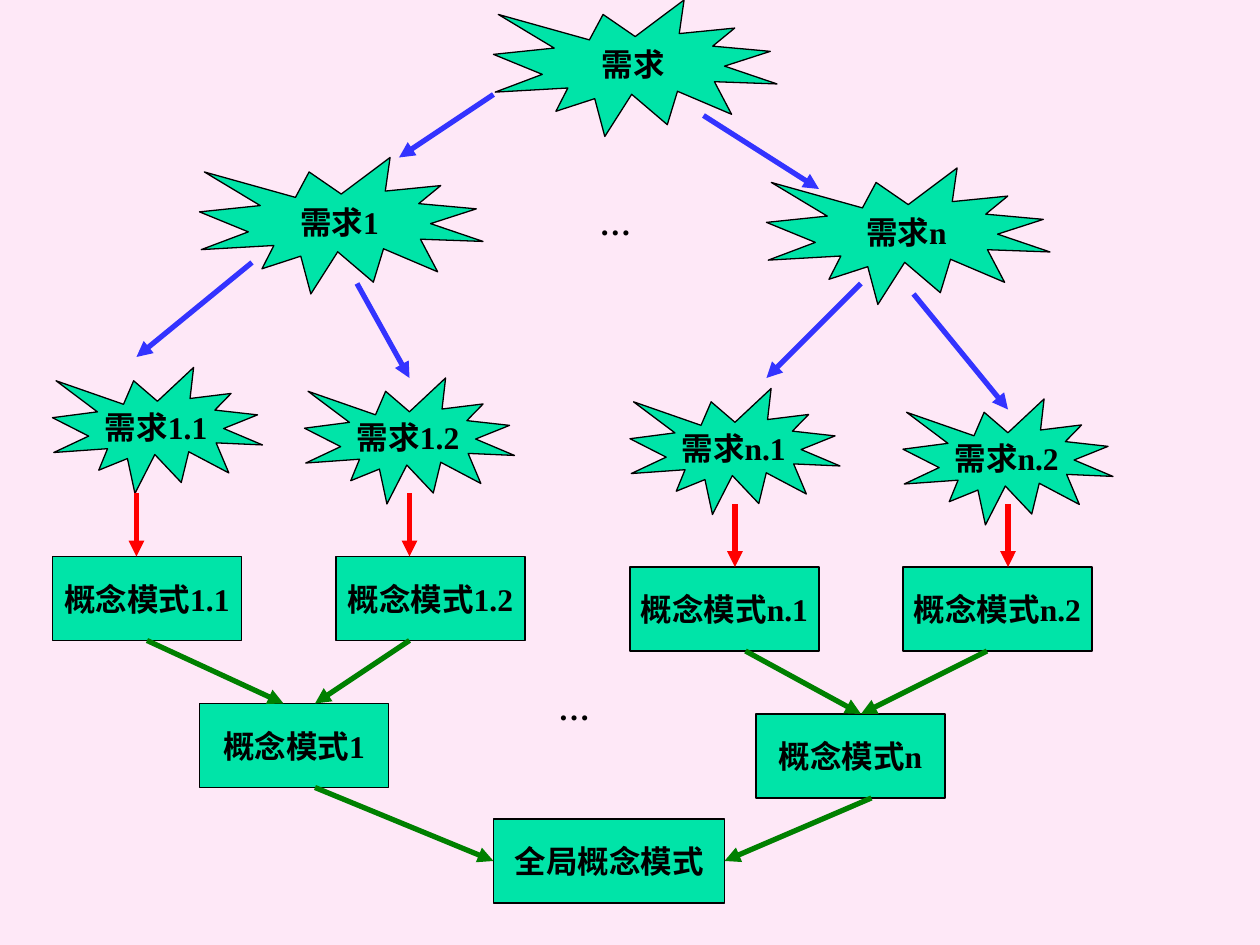
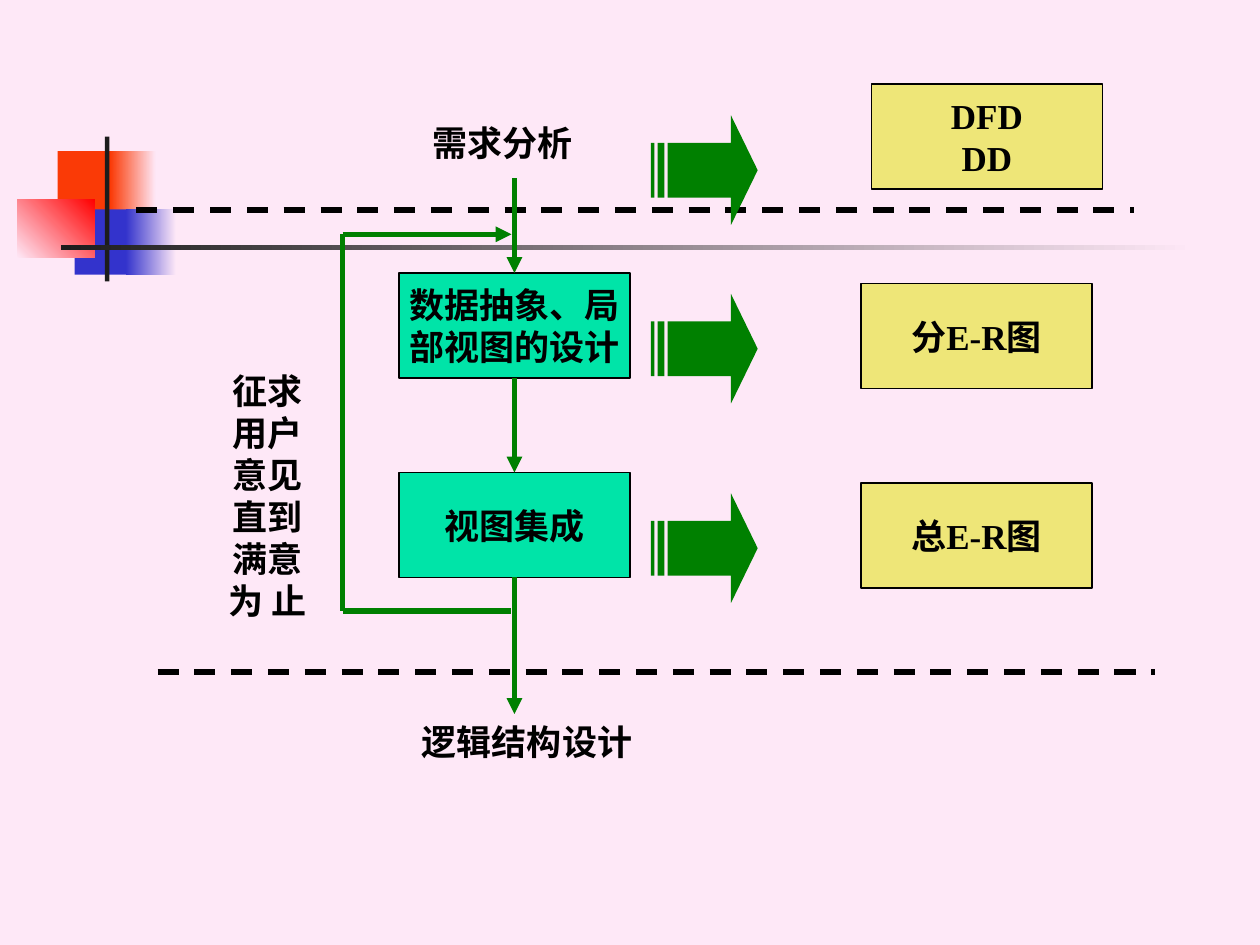
from lxml.etree import SubElement
from pptx import Presentation
from pptx.dml.color import RGBColor
from pptx.enum.dml import MSO_LINE_DASH_STYLE as DASH
from pptx.enum.shapes import MSO_CONNECTOR_TYPE as CONN, MSO_SHAPE as SHAPE
from pptx.enum.text import MSO_ANCHOR, PP_ALIGN
from pptx.oxml.ns import qn
from pptx.util import Pt

FONT = "Times New Roman"
BACKGROUND, BLACK, CHARCOAL = "FEE8F7", "000000", "1C1C1C"
MINT, YELLOW, GREEN = "00E4A8", "EEE678", "008000"
BLUE, NAVY, RED, ORANGE = "3333FF", "3333CC", "FF0000", "FA3A06"


def rgb(value):
    """Return the colour for a hex string."""
    return RGBColor.from_string(value)


def new_slide(prs):
    """Add a blank slide with the shared background."""
    s = prs.slides.add_slide(prs.slide_layouts[6])
    s.background.fill.solid()
    s.background.fill.fore_color.rgb = rgb(BACKGROUND)
    return s


def write(sp, text, size=18, align=PP_ALIGN.CENTER, anchor=MSO_ANCHOR.MIDDLE, wrap=False):
    """Fill a shape with bold text, one paragraph per line."""
    tf = sp.text_frame
    tf.word_wrap = wrap
    tf.vertical_anchor = anchor
    for i, line in enumerate(text.split("\n")):
        p = tf.paragraphs[0] if i == 0 else tf.add_paragraph()
        p.alignment = align
        r = p.add_run()
        r.text = line
        r.font.name = FONT
        r.font.size = Pt(size)
        r.font.bold = True
        r.font.color.rgb = rgb(BLACK)


def add_block(s, kind, x, y, w, h, fill, outline=None):
    """Add a flat preset shape, outlined only if a colour is given."""
    sp = s.shapes.add_shape(kind, Pt(x), Pt(y), Pt(w), Pt(h))
    sp.shadow.inherit = False
    sp.fill.solid()
    sp.fill.fore_color.rgb = rgb(fill)
    if outline:
        sp.line.color.rgb = rgb(outline)
        sp.line.width = Pt(0.75)
    else:
        sp.line.fill.background()
    return sp


def add_node(s, text, x, y, w, h, kind=SHAPE.RECTANGLE, fill=MINT, size=18):
    """Add an outlined shape with a centred label."""
    write(add_block(s, kind, x, y, w, h, fill, BLACK), text, size=size)


def add_fade(s, x, y, w, h, start, end, angle=0):
    """Add a rectangle with a two-colour gradient."""
    sp = add_block(s, SHAPE.RECTANGLE, x, y, w, h, start)
    sp.fill.gradient()
    sp.fill.gradient_angle = angle
    for stop, colour in zip(sp.fill.gradient_stops, (start, end)):
        stop.color.rgb = rgb(colour)


def add_label(s, text, x, y, w, h, **fmt):
    """Add a text box."""
    write(s.shapes.add_textbox(Pt(x), Pt(y), Pt(w), Pt(h)), text, anchor=MSO_ANCHOR.TOP, **fmt)


def add_line(s, x1, y1, x2, y2, colour, arrow=True, dashed=False):
    """Add a straight 3 pt line."""
    cn = s.shapes.add_connector(CONN.STRAIGHT, Pt(x1), Pt(y1), Pt(x2), Pt(y2))
    cn.line.color.rgb = rgb(colour)
    cn.line.width = Pt(3)
    if dashed:
        cn.line.dash_style = DASH.DASH
    if arrow:
        SubElement(cn.line._get_or_add_ln(), qn("a:tailEnd"), type="triangle")
    SubElement(cn._element.spPr, qn("a:effectLst"))


def add_striped_arrow(s, x, y):
    """Add a striped arrow that leads from a step to its result."""
    sp = add_block(s, SHAPE.STRIPED_RIGHT_ARROW, x, y, 61, 62.6, GREEN)
    sp.adjustments[0], sp.adjustments[1] = 0.5, 0.25


def add_ornament(s):
    """Add the faded squares and crossing bars of the title area."""
    for x, y, w, h, fade_x, fade_w, colour in (
        (33, 86.4, 34.6, 37.4, 63, 26, ORANGE),
        (42.6, 119.6, 33, 37.4, 72, 28.8, NAVY),
    ):
        add_block(s, SHAPE.RECTANGLE, x, y, w, h, colour)
        add_fade(s, fade_x, y, fade_w, h, colour, BACKGROUND)
    add_fade(s, 9.8, 113.8, 44.4, 33.4, BACKGROUND, RED, angle=45)
    add_block(s, SHAPE.RECTANGLE, 60, 78, 2.5, 82.8, CHARCOAL)
    add_fade(s, 34.8, 140.2, 648, 2.4, CHARCOAL, BACKGROUND)


def build_view_merging(prs):
    """Slide: requirements split top-down, schemas merged bottom-up."""
    s = new_slide(prs)
    for text, x, y in (("需求", 282, 0), ("需求1", 114, 90), ("需求n", 438, 96)):
        add_node(s, text, x, y, 162, 78, kind=SHAPE.EXPLOSION1)
    leaves = (
        ("1.1", 30, 210, 30, 318),
        ("1.2", 174, 216, 192, 318),
        ("n.1", 360, 222, 360, 324),
        ("n.2", 516, 228, 516, 324),
    )
    for number, need_x, need_y, schema_x, schema_y in leaves:
        add_node(s, "需求" + number, need_x, need_y, 120, 72, kind=SHAPE.EXPLOSION1)
        add_node(s, "概念模式" + number, schema_x, schema_y, 108, 48)
    add_node(s, "概念模式1", 114, 402, 108, 48)
    add_node(s, "概念模式n", 432, 408, 108, 48)
    add_node(s, "全局概念模式", 282, 468, 132, 48)
    for x, y in ((335.5, 113), (312, 390)):
        add_label(s, "…", x, y, 32.4, 29, align=PP_ALIGN.LEFT)

    arrows = {
        BLUE: (
            (282, 54, 228, 90), (402, 66, 468, 108),
            (144, 150, 78, 204), (204, 162, 234, 216),
            (492, 162, 438, 216), (522, 168, 576, 234),
        ),
        RED: [(x, y, x, y + 36) for x, y in ((78, 282), (234, 282), (420, 288), (576, 288))],
        GREEN: (
            (84, 366, 162, 402), (234, 366, 180, 402),
            (426, 372, 492, 408), (564, 372, 492, 408),
            (180, 450, 282, 492), (498, 456, 414, 492),
        ),
    }
    for colour, ends in arrows.items():
        for end in ends:
            add_line(s, *end, colour)


def build_design_steps(prs):
    """Slide: the steps of conceptual design and their results."""
    s = new_slide(prs)
    add_ornament(s)
    for x, y in ((78, 120), (90, 384)):
        add_line(s, x, y, x + 570, y, BLACK, arrow=False, dashed=True)
    add_label(s, "需求分析", 240, 66, 95.6, 31.5, size=20, align=PP_ALIGN.LEFT)
    add_label(s, "逻辑结构设计", 234, 408, 136.8, 31.5, size=20, align=PP_ALIGN.LEFT)
    for text, y in (("数据抽象、局\n部视图的设计", 156), ("视图集成", 270)):
        add_node(s, text, 228, y, 132, 60, size=20)
    for text, x, y in (("DFD\nDD", 498, 48), ("分E-R图", 492, 162), ("总E-R图", 492, 276)):
        add_node(s, text, x, y, 132, 60, fill=YELLOW, size=20)
    for y in (66, 168, 282):
        add_striped_arrow(s, 372, y)
    for top, bottom in ((102, 156), (216, 270), (330, 408)):
        add_line(s, 294, top, 294, bottom, GREEN)

    left, right, top, bottom = 195.8, 292.3, 133.9, 349.2
    add_label(s, "征求用户意见直到满意为 止", 116, 207.4, 73.4, 152.6, size=20, wrap=True)
    add_line(s, left, top, right, top, GREEN)
    add_line(s, left, top, left, bottom, GREEN, arrow=False)
    add_line(s, left, bottom, right, bottom, GREEN, arrow=False)


def main():
    """Build and save the presentation."""
    prs = Presentation()
    prs.slide_width, prs.slide_height = Pt(720), Pt(540)
    build_view_merging(prs)
    build_design_steps(prs)
    prs.save("out.pptx")


if __name__ == "__main__":
    main()
